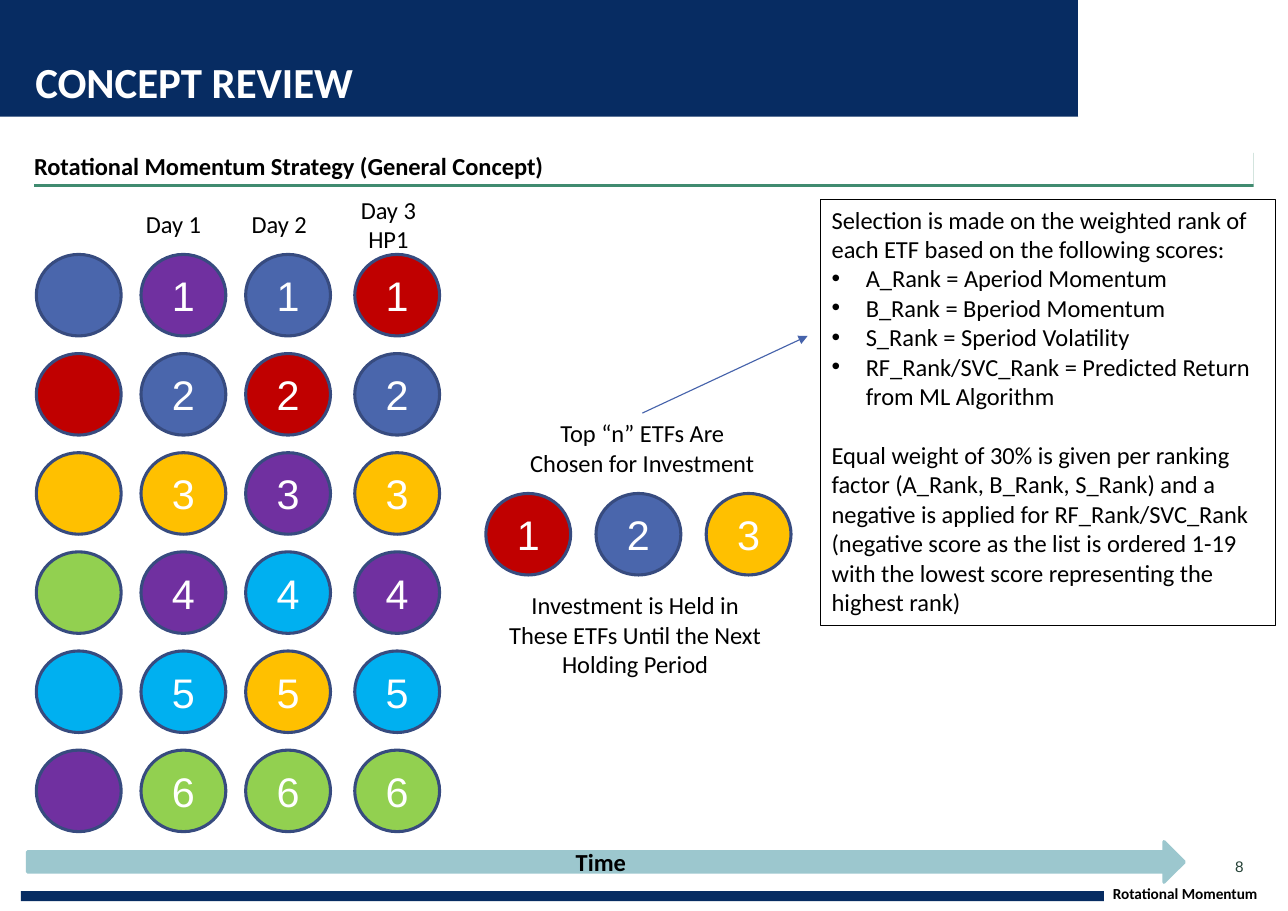
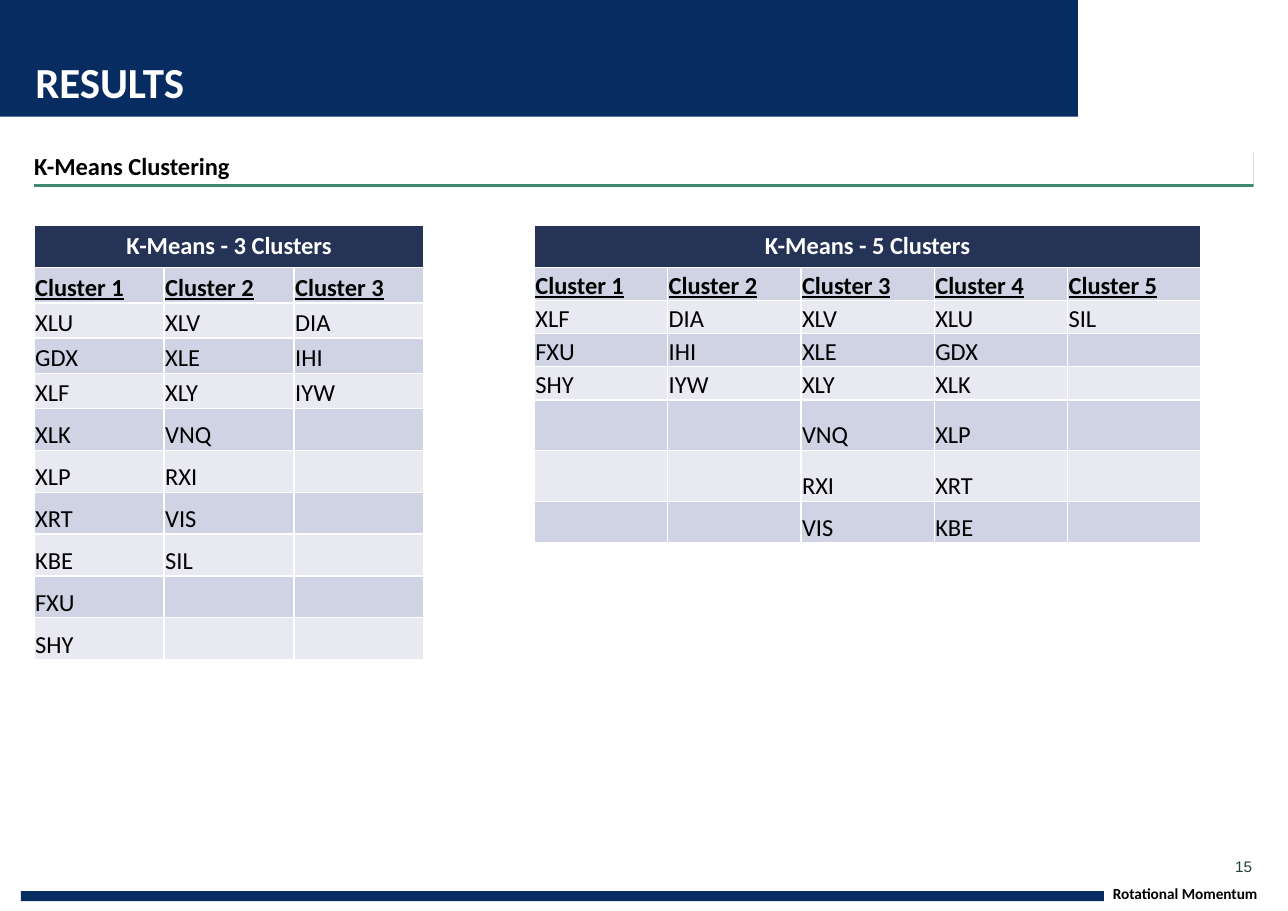
"""Build the concept review and clustering results slides."""
from lxml import etree
from pptx import Presentation
from pptx import util as u
from pptx.dml.color import RGBColor
from pptx.enum import shapes, text
from pptx.oxml.ns import qn

COLORS = {
    "navy": "072C62", "white": "FFFFFF", "black": "000000", "rule": "408B70",
    "number": "234035", "outline": "374B7F", "time": "9CC7CE", "pointer": "4663AB",
    "red": "C00000", "gold": "FFC000", "green": "92D050", "sky": "00B0F0",
    "purple": "7030A0", "blue": "4A66AC",
    "header": "253356", "dark band": "D0D3E3", "light band": "E9EAF1",
}
FOOTER = "Rotational Momentum"

RANK_COLUMNS = [
    (0.33, False, ["blue", "red", "gold", "green", "sky", "purple"]),
    (1.28, True, ["purple", "blue", "gold", "purple", "sky", "green"]),
    (2.23, True, ["blue", "red", "purple", "sky", "gold", "green"]),
    (3.22, True, ["red", "blue", "gold", "purple", "sky", "green"]),
]
CHOSEN = ["red", "blue", "gold"]
DAY_LABELS = [
    ((1.22, 1.85, 0.71, 0.37), ["Day 1"]),
    ((2.18, 1.85, 0.71, 0.37), ["Day 2"]),
    ((3.17, 1.72, 0.71, 0.64), ["Day 3", "HP1"]),
]
CHOICE = ["Top “n” ETFs Are", "Chosen for Investment"]
HOLDING = ["Investment is Held in", "These ETFs Until the Next", "Holding Period"]
SELECTION_INTRO = ("Selection is made on the weighted rank of each ETF "
                   "based on the following scores:")
SCORES = [
    "A_Rank = Aperiod Momentum",
    "B_Rank = Bperiod Momentum",
    "S_Rank = Speriod Volatility",
    "RF_Rank/SVC_Rank = Predicted Return from ML Algorithm",
]
WEIGHTING = ("Equal weight of 30% is given per ranking factor (A_Rank, B_Rank, S_Rank) "
             "and a negative is applied for RF_Rank/SVC_Rank (negative score as the list "
             "is ordered 1-19 with the lowest score representing the highest rank)")

CLUSTER_TABLES = [
    {"title": "K-Means - 3 Clusters", "left": 0.31, "column": 1.18,
     "rows": [0.38] + [0.32] * 4 + [0.38] * 6,
     "clusters": [["XLU", "GDX", "XLF", "XLK", "XLP", "XRT", "KBE", "FXU", "SHY"],
                  ["XLV", "XLE", "XLY", "VNQ", "RXI", "VIS", "SIL"],
                  ["DIA", "IHI", "IYW"]]},
    {"title": "K-Means - 5 Clusters", "left": 4.85, "column": 1.21,
     "rows": [0.38] + [0.3] * 4 + [0.46, 0.46, 0.38],
     "clusters": [["XLF", "FXU", "SHY"],
                  ["DIA", "IHI", "IYW"],
                  ["XLV", "XLE", "XLY", "VNQ", "RXI", "VIS"],
                  ["XLU", "GDX", "XLK", "XLP", "XRT", "KBE"],
                  ["SIL"]]},
]


def color(name):
    return RGBColor.from_string(COLORS[name])


def inches(values):
    return [u.Inches(value) for value in values]


def set_margins(target, margins):
    (target.margin_left, target.margin_top,
     target.margin_right, target.margin_bottom) = inches(margins)


def write(frame, lines, size=16, tint="black", bold=False, font="Calibri", align=None):
    frame.text = "\n".join(lines)
    for para in frame.paragraphs:
        para.alignment = align
        for span in para.runs:
            span.font.size = u.Pt(size)
            span.font.name = font
            span.font.bold = bold
            span.font.color.rgb = color(tint)


def add_box(page, kind, at, fill=None, line=None, width=2):
    box = page.shapes.add_shape(kind, *inches(at))
    box.shadow.inherit = False
    if fill:
        box.fill.solid()
        box.fill.fore_color.rgb = color(fill)
    else:
        box.fill.background()
    if line:
        box.line.color.rgb = color(line)
        box.line.width = u.Pt(width)
    else:
        box.line.fill.background()
    return box


def add_label(page, at, lines, wrap=False, **style):
    box = page.shapes.add_textbox(*inches(at))
    box.text_frame.word_wrap = wrap
    write(box.text_frame, lines, **style)
    return box


def add_circle(page, left, top, fill, rank=None):
    circle = add_box(page, shapes.MSO_SHAPE.OVAL, (left, top, 0.77, 0.74), fill, "outline")
    if rank:
        write(circle.text_frame, [str(rank)], 27, "white", font="Arial",
              align=text.PP_ALIGN.CENTER)


def add_shared_parts(page):
    rectangle = shapes.MSO_SHAPE.RECTANGLE
    footer = add_label(page, (10.1, 8.02, 1.72, 0.17), [FOOTER], True, size=10, bold=True)
    set_margins(footer.text_frame, (0, 0, 0, 0))
    footer.text_frame.vertical_anchor = text.MSO_ANCHOR.BOTTOM
    parts = [
        add_box(page, rectangle, (0, 0, 11.69, 1.06), "navy"),
        add_box(page, rectangle, (9.8, 0, 1.89, 1.06), "white", "white"),
        add_box(page, rectangle, (0.19, 8.09, 9.83, 0.09), "navy"),
        footer,
    ]
    tree = page.slide_layout.shapes.element
    for position, part in enumerate(parts, 2):
        tree.insert(position, part.element)


def add_page(deck, title, subtitle, number):
    page = deck.slides.add_slide(deck.slide_layouts[5])
    heading = page.shapes.title
    heading.left, heading.top, heading.width, heading.height = inches((0.32, 0.5, 9.49, 0.47))
    write(heading.text_frame, [title], 28, "white", True, align=text.PP_ALIGN.LEFT)

    band = add_box(page, shapes.MSO_SHAPE.RECTANGLE, (0.31, 1.36, 11.07, 0.31), "white")
    effects = band.element.spPr.find(qn("a:effectLst"))
    shadow = etree.SubElement(effects, qn("a:outerShdw"), blurRad="0",
                              dist=str(u.Pt(2)), dir="5400000", algn="t", rotWithShape="0")
    etree.SubElement(shadow, qn("a:srgbClr"), val=COLORS["rule"])
    write(band.text_frame, [subtitle], bold=True, align=text.PP_ALIGN.LEFT)
    band.text_frame.paragraphs[0].line_spacing = 1.1

    for box, bottom in ((heading, 0), (band, 0.03)):
        set_margins(box.text_frame, (0, 0, 0, bottom))
        box.text_frame.vertical_anchor = text.MSO_ANCHOR.BOTTOM
        box.text_frame.auto_size = text.MSO_AUTO_SIZE.NONE

    page_number = add_label(page, (11.21, 7.78, 0.17, 0.17), [number], size=10,
                            tint="number", font="Arial")
    set_margins(page_number.text_frame, (0, 0, 0, 0))
    page_number.text_frame.vertical_anchor = text.MSO_ANCHOR.MIDDLE
    return page


def add_selection(page):
    box = add_box(page, shapes.MSO_SHAPE.RECTANGLE, (7.45, 1.81, 4.13, 3.87),
                  line="black", width=0.75)
    frame = box.text_frame
    frame.vertical_anchor = text.MSO_ANCHOR.TOP
    write(frame, [SELECTION_INTRO, *SCORES, WEIGHTING], align=text.PP_ALIGN.LEFT)
    for para in frame.paragraphs[1:-1]:
        properties = para._p.get_or_add_pPr()
        properties.set("marL", str(u.Inches(0.31)))
        properties.set("indent", str(-u.Inches(0.31)))
        etree.SubElement(properties, qn("a:buFont"), typeface="Arial")
        etree.SubElement(properties, qn("a:buChar"), char="•")
    frame.paragraphs[-1].space_before = u.Pt(19.5)


def add_pointer(page, source, end):
    pointer = page.shapes.add_connector(shapes.MSO_CONNECTOR.STRAIGHT,
                                        *inches((5.83, 3.75)), *inches(end))
    pointer.begin_connect(source, 0)
    pointer.line.color.rgb = color("pointer")
    pointer.line.width = u.Pt(0.75)
    etree.SubElement(pointer.line._get_or_add_ln(), qn("a:tailEnd"), type="triangle")
    etree.SubElement(pointer.element.spPr, qn("a:effectLst"))


def fill_concept(page):
    center = text.PP_ALIGN.CENTER
    for left, ranked, fills in RANK_COLUMNS:
        for row, fill in enumerate(fills):
            add_circle(page, left, 2.31 + 0.9 * row, fill, row + 1 if ranked else None)
    for place, fill in enumerate(CHOSEN):
        add_circle(page, 4.41 + place, 4.48, fill, place + 1)
    for at, lines in DAY_LABELS:
        add_label(page, at, lines, align=center)
    choice = add_label(page, (4.7, 3.75, 2.26, 0.64), CHOICE, align=center)
    add_label(page, (4.48, 5.31, 2.57, 0.91), HOLDING, align=center)
    arrow = add_box(page, shapes.MSO_SHAPE.RIGHT_ARROW, (0.25, 7.64, 10.5, 0.37),
                    "time", "time")
    write(arrow.text_frame, ["Time"], bold=True, align=center)
    add_selection(page)
    add_pointer(page, choice, (7.33, 3.05))


def add_cluster_table(page, content):
    heights, clusters = content["rows"], content["clusters"]
    at = (content["left"], 2.05, content["column"] * len(clusters), sum(heights))
    table = page.shapes.add_table(len(heights), len(clusters), *inches(at)).table
    for row, height in zip(table.rows, heights):
        row.height = u.Inches(height)
    for column in table.columns:
        column.width = u.Inches(content["column"])

    title = table.cell(0, 0)
    title.merge(table.cell(0, len(clusters) - 1))
    title.fill.solid()
    title.fill.fore_color.rgb = color("header")
    write(title.text_frame, [content["title"]], tint="white", bold=True,
          align=text.PP_ALIGN.CENTER)

    for column, members in enumerate(clusters):
        entries = [f"Cluster {column + 1}", *members]
        for row in range(1, len(heights)):
            cell = table.cell(row, column)
            cell.fill.solid()
            cell.fill.fore_color.rgb = color("dark band" if row % 2 else "light band")
            cell.vertical_anchor = text.MSO_ANCHOR.BOTTOM
            set_margins(cell, (0.01, 0.01, 0.01, 0))
            if row <= len(entries):
                write(cell.text_frame, [entries[row - 1]], bold=row == 1)
                cell.text_frame.paragraphs[0].runs[0].font.underline = row == 1
            else:
                cell.text_frame.paragraphs[0].font.size = u.Pt(16)


def main():
    deck = Presentation()
    deck.slide_width, deck.slide_height = inches((11.69, 8.27))
    concept = add_page(deck, "CONCEPT REVIEW",
                       "Rotational Momentum Strategy (General Concept)", "8")
    add_shared_parts(concept)
    fill_concept(concept)
    results = add_page(deck, "RESULTS", "K-Means Clustering", "15")
    for content in CLUSTER_TABLES:
        add_cluster_table(results, content)
    deck.save("out.pptx")


if __name__ == "__main__":
    main()
